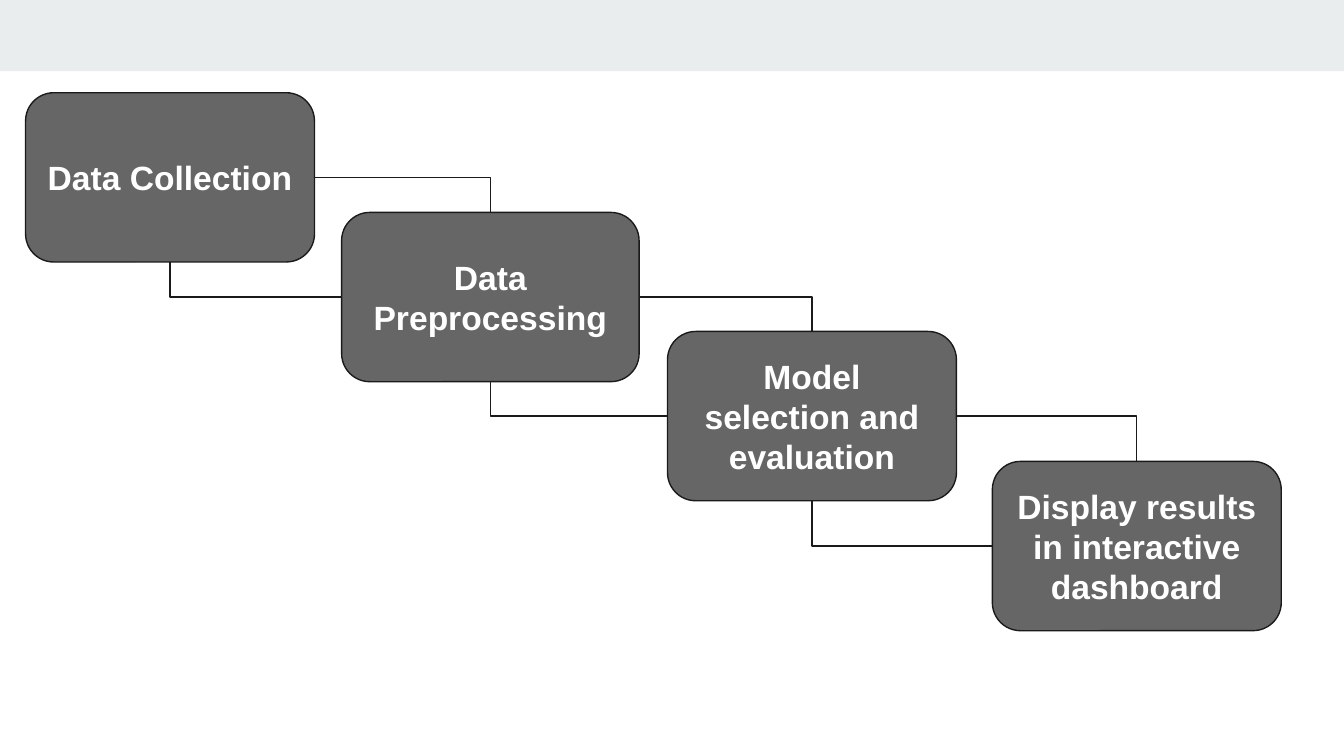
from lxml import etree
from pptx import Presentation
from pptx.dml.color import RGBColor
from pptx.enum import shapes, text
from pptx.oxml import ns
from pptx.util import Pt

STEPS = [
    ("Data Collection", 13.7, 49.7, 154.8),
    ("Data Preprocessing", 183, 113.8, 159.4),
    ("Model selection and evaluation", 357.6, 177.6, 154.8),
    ("Display results in interactive dashboard", 531.6, 247.2, 154.8),
]
WIDTH, HEIGHT = 720, 405
BAND_HEIGHT = 38.2
STEP_HEIGHT = 90.7
INSET = 7.2
LINE_WIDTH = 0.75
TOP, LEFT, BOTTOM, RIGHT = range(4)

BAND = RGBColor(0xE9, 0xED, 0xEE)
GREY = RGBColor(0x66, 0x66, 0x66)
INK = RGBColor(0x1A, 0x1A, 0x1A)
WHITE = RGBColor(0xFF, 0xFF, 0xFF)


def write(sp, content, size=18, color=WHITE, bold=True, font="Arial"):
    tf = sp.text_frame
    tf.word_wrap = True
    tf.vertical_anchor = text.MSO_ANCHOR.MIDDLE
    tf.margin_left = tf.margin_right = Pt(INSET)
    tf.margin_top = tf.margin_bottom = Pt(INSET)
    p = tf.paragraphs[0]
    p.alignment = text.PP_ALIGN.CENTER
    r = p.add_run()
    r.text = content
    r.font.name = font
    r.font.size = Pt(size)
    r.font.bold = bold
    r.font.color.rgb = color


def add_box(s, kind, left, top, width, height, fill, line=None):
    sp = s.shapes.add_shape(kind, Pt(left), Pt(top), Pt(width), Pt(height))
    sp.shadow.inherit = False
    sp.fill.solid()
    sp.fill.fore_color.rgb = fill
    if line is None:
        sp.line.fill.background()
    else:
        sp.line.color.rgb = line
        sp.line.width = Pt(LINE_WIDTH)
    return sp


def add_bend(s, start, start_side, end, end_side):
    c = s.shapes.add_connector(shapes.MSO_CONNECTOR.ELBOW, 0, 0, 0, 0)
    c.begin_connect(start, start_side)
    c.end_connect(end, end_side)
    c.line.color.rgb = INK
    c.line.width = Pt(LINE_WIDTH)
    props = c._element.spPr
    props.find(ns.qn("a:prstGeom")).set("prst", "bentConnector2")
    etree.SubElement(props, ns.qn("a:effectLst"))


def main():
    prs = Presentation()
    prs.slide_width, prs.slide_height = Pt(WIDTH), Pt(HEIGHT)
    s = prs.slides.add_slide(prs.slide_layouts[6])
    add_box(s, shapes.MSO_SHAPE.RECTANGLE, 0, 0, WIDTH, BAND_HEIGHT, BAND)

    boxes = []
    for label, left, top, width in STEPS:
        sp = add_box(s, shapes.MSO_SHAPE.ROUNDED_RECTANGLE,
                     left, top, width, STEP_HEIGHT, GREY, INK)
        write(sp, label)
        boxes.append(sp)

    for step, following in zip(boxes, boxes[1:]):
        add_bend(s, step, RIGHT, following, TOP)
        add_bend(s, following, LEFT, step, BOTTOM)

    prs.save("out.pptx")


if __name__ == "__main__":
    main()
